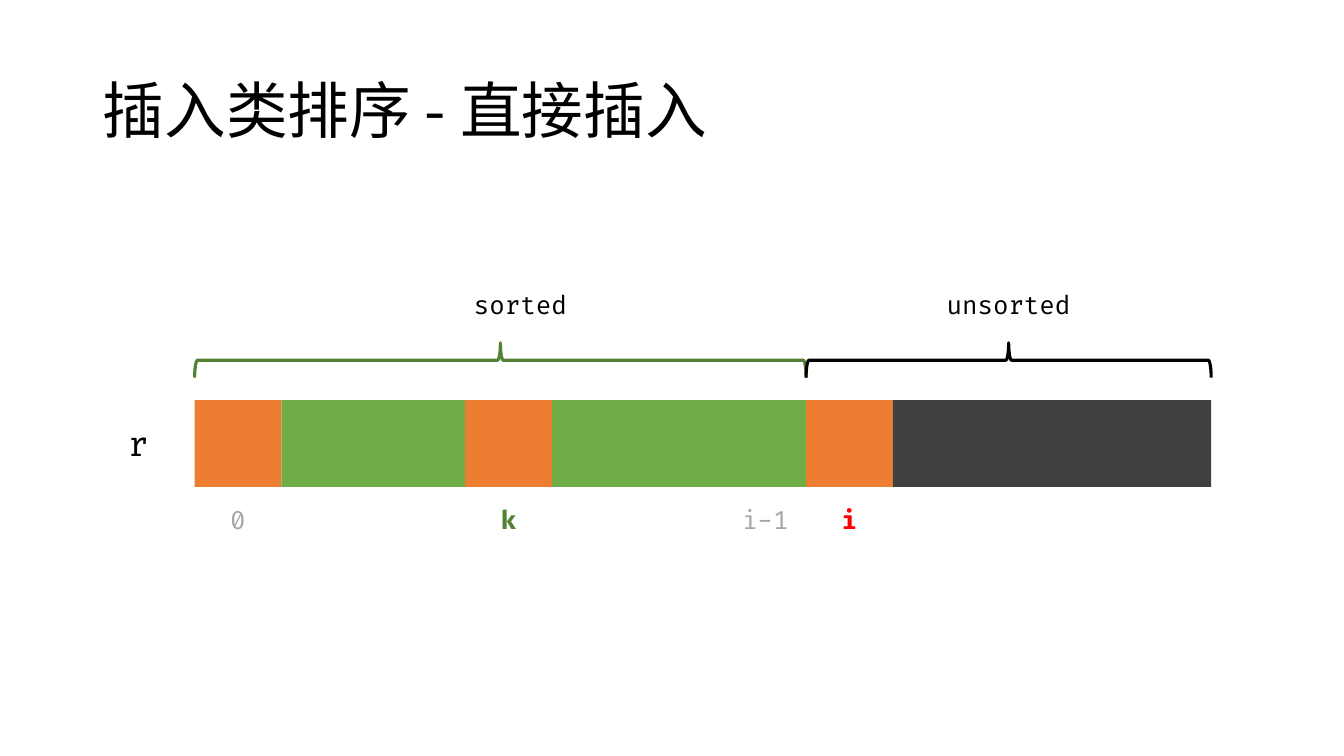
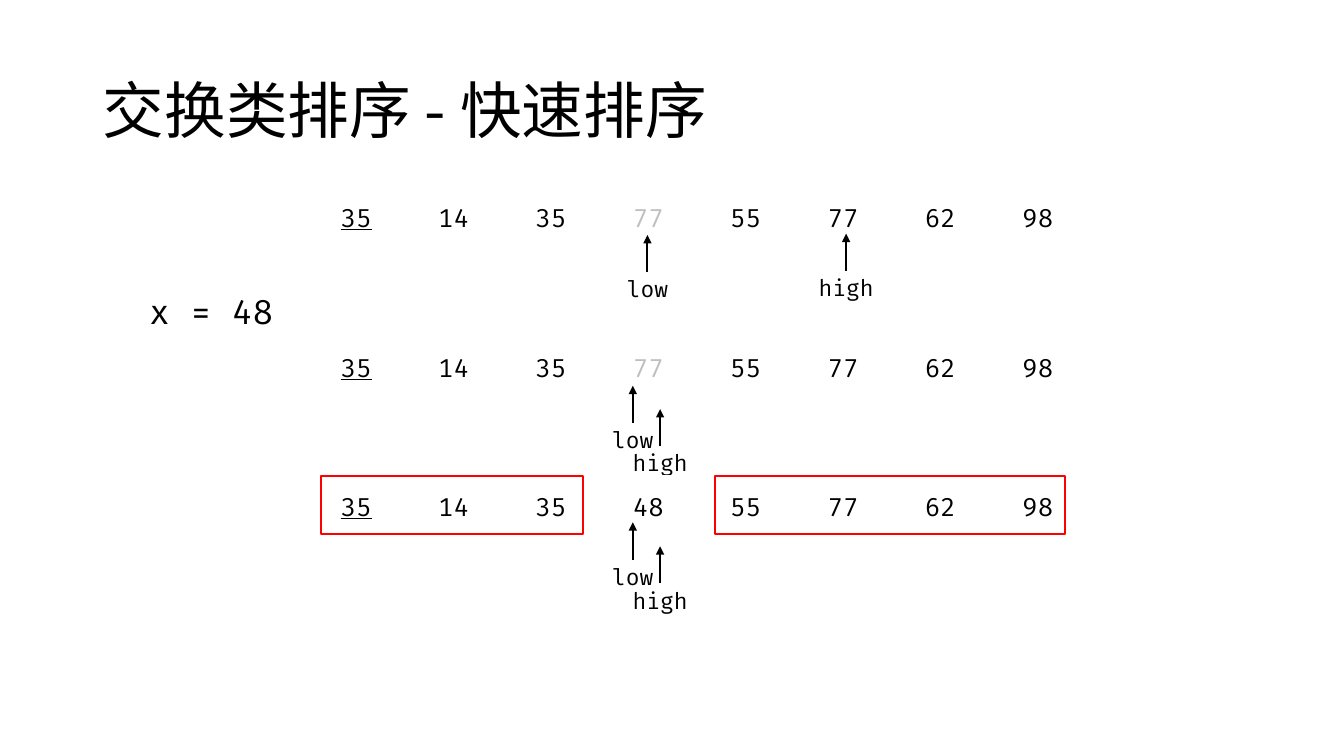
from dataclasses import dataclass
from itertools import accumulate

from lxml.etree import SubElement
from pptx import Presentation
from pptx.dml.color import RGBColor
from pptx.enum.shapes import MSO_CONNECTOR, MSO_SHAPE
from pptx.enum.text import MSO_ANCHOR, PP_ALIGN
from pptx.oxml.ns import qn
from pptx.util import Inches, Pt

WIDTH, HEIGHT = 13.33, 7.5


@dataclass(frozen=True)
class Theme:
    """Colours, fonts and sizes of the whole deck."""
    ink: str = "000000"
    orange: str = "ED7D31"
    green: str = "70AD47"
    dark_green: str = "548235"
    charcoal: str = "404040"
    index_grey: str = "A6A6A6"
    vacant_grey: str = "BFBFBF"
    red: str = "FF0000"
    title_font: str = "Noto Sans CJK SC"
    code_font: str = "Fira Code"
    title_size: int = 44
    name_size: int = 24
    code_size: int = 18
    pointer_size: int = 16
    brace_line: float = 2.25
    thin_line: float = 1.5


THEME = Theme()


@dataclass(frozen=True)
class Box:
    """A rectangle in inches."""
    left: float
    top: float
    width: float
    height: float

    def lengths(self):
        """Return the four sides as slide lengths."""
        return [Inches(v) for v in (self.left, self.top, self.width, self.height)]


def area(left, top, width, height):
    """Return a box given in percent of the slide."""
    return Box(left * WIDTH / 100, top * HEIGHT / 100,
               width * WIDTH / 100, height * HEIGHT / 100)


def write_text(frame, text, size=THEME.code_size, color=THEME.ink, font=THEME.code_font,
               bold=False, underline=False, align=PP_ALIGN.CENTER, spacing=1.0):
    """Write one formatted paragraph into a text frame."""
    para = frame.paragraphs[0]
    para.alignment, para.line_spacing = align, spacing
    span = para.add_run()
    span.text = text
    span.font.size, span.font.name = Pt(size), font
    span.font.bold, span.font.underline = bold, underline
    span.font.color.rgb = RGBColor.from_string(color)
    SubElement(span.font._element, qn("a:ea"), typeface=font)


def add_label(page, box, text, **style):
    """Place a text box."""
    frame = page.shapes.add_textbox(*box.lengths()).text_frame
    frame.word_wrap = True
    write_text(frame, text, **style)


def add_figure(page, kind, box, fill=None, line=None, weight=THEME.thin_line):
    """Place a preset shape with an optional fill and outline."""
    shape = page.shapes.add_shape(kind, *box.lengths())
    shape.shadow.inherit = False
    if fill:
        shape.fill.solid()
        shape.fill.fore_color.rgb = RGBColor.from_string(fill)
    else:
        shape.fill.background()
    if line:
        shape.line.color.rgb = RGBColor.from_string(line)
        shape.line.width = Pt(weight)
    else:
        shape.line.fill.background()
    return shape


def add_brace(page, box, color):
    """Place a brace that lies over the given box and points up."""
    middle_x, middle_y = box.left + box.width / 2, box.top + box.height / 2
    upright = Box(middle_x - box.height / 2, middle_y - box.width / 2, box.height, box.width)
    brace = add_figure(page, MSO_SHAPE.LEFT_BRACE, upright, line=color, weight=THEME.brace_line)
    brace.rotation = 90


def add_pointer(page, box, text):
    """Place an upward arrow in the upper half of the box and its name below."""
    x, length = box.left + box.width / 2, box.height / 2
    arrow = page.shapes.add_connector(MSO_CONNECTOR.STRAIGHT, Inches(x), Inches(box.top + length),
                                      Inches(x), Inches(box.top))
    arrow.line.color.rgb = RGBColor.from_string(THEME.ink)
    arrow.line.width = Pt(THEME.thin_line)
    SubElement(arrow.line._get_or_add_ln(), qn("a:tailEnd"), type="triangle")
    SubElement(arrow._element.spPr, qn("a:effectLst"))
    add_label(page, Box(box.left, box.top + length * 0.95, box.width, length), text,
              size=THEME.pointer_size)


def add_page(deck, title):
    """Add a title-only slide and format its title."""
    page = deck.slides.add_slide(deck.slide_layouts[5])
    holder = page.shapes.title
    holder.left, holder.top, holder.width, holder.height = area(6.9, 5.33, 86.27, 19.33).lengths()
    frame = holder.text_frame
    frame.word_wrap, frame.vertical_anchor = True, MSO_ANCHOR.MIDDLE
    write_text(frame, title, size=THEME.title_size, font=THEME.title_font,
               align=PP_ALIGN.LEFT, spacing=0.9)
    return page


def add_array_strip(page, box):
    """Draw array r as segments, with braces above and indexes below."""
    side = box.height
    colors = (THEME.orange, THEME.green, THEME.orange, THEME.green, THEME.orange, THEME.charcoal)
    widths = (1, 2.12, 1, 2.93, 1, 3.67)
    edges = [box.left + side * edge for edge in accumulate(widths, initial=0)]
    for color, left, right in zip(colors, edges, edges[1:]):
        add_figure(page, MSO_SHAPE.RECTANGLE, Box(left, box.top, right - left, side), fill=color)

    def centred(middle, top, width, height, text, **style):
        """Place a label around a centre line, in cell sides from the strip."""
        add_label(page, Box(middle - width * side / 2, box.top + top * side,
                            width * side, height * side), text, **style)

    for name, first, last, color, shift in (("sorted", 0, 4, THEME.dark_green, 0.2),
                                            ("unsorted", 4, 6, THEME.ink, 0)):
        left, right = edges[first], edges[last]
        add_brace(page, Box(left, box.top - 0.66 * side, right - left, 0.4 * side), color)
        centred((left + right) / 2 + shift, -1.34, 2, 0.47, name)

    half = side / 2
    for name, middle, color, bold in (
            ("0", edges[0] + half, THEME.index_grey, False),
            ("k", edges[2] + half, THEME.dark_green, True),
            ("i-1", edges[4] - 0.47 * side, THEME.index_grey, False),
            ("i", edges[4] + half, THEME.red, True)):
        centred(middle, 1.14, 0.92, 0.47, name, color=color, bold=bold)
    centred(box.left - 0.65 * side, 0.21, 0.6, 0.58, "r", size=THEME.name_size)


def add_number_row(page, box, numbers, pointers, vacant=None, frames=()):
    """Draw a row of numbers; pointers and frames are in columns and rows."""
    column, row = box.width / len(numbers), box.height
    table = page.shapes.add_table(1, len(numbers), *box.lengths()).table
    table.first_row = table.horz_banding = False
    for index, number in enumerate(numbers):
        cell = table.cell(0, index)
        cell.fill.background()
        cell.vertical_anchor = MSO_ANCHOR.MIDDLE
        cell.margin_left = cell.margin_right = Inches(0.08)
        cell.margin_top = cell.margin_bottom = Inches(0.04)
        write_text(cell.text_frame, str(number), underline=index == 0,
                   color=THEME.vacant_grey if index == vacant else THEME.ink)
    for name, across, down in pointers:
        add_pointer(page, Box(box.left + (across - 0.65) * column, box.top + down * row,
                              1.3 * column, 1.12 * row), name)
    for start, span in frames:
        add_figure(page, MSO_SHAPE.RECTANGLE,
                   Box(box.left + start * column, box.top, span * column, 0.88 * row),
                   line=THEME.red)


def build_insertion(deck):
    """Build the straight insertion slide."""
    page = add_page(deck, "插入类排序 - 直接插入")
    add_array_strip(page, area(14.48, 52.93, 75.6, 11.47))


def build_quicksort(deck):
    """Build the quicksort slide with its three steps."""
    page = add_page(deck, "交换类排序 - 快速排序")
    add_label(page, area(9.68, 37.87, 12.08, 6.67), "x = 48", size=THEME.name_size)
    steps = (
        (24.67, 77, [("low", 3.49, 0.73), ("high", 5.53, 0.71)], 3, ()),
        (44.53, 77, [("low", 3.34, 0.74), ("high", 3.62, 1.09)], 3, ()),
        (62.93, 48, [("low", 3.34, 0.7), ("high", 3.62, 1.06)], None,
         ((0.14, 2.69), (4.18, 3.6))),
    )
    for top, pivot, pointers, vacant, frames in steps:
        add_number_row(page, area(22.88, top, 57.98, 8.8),
                       (35, 14, 35, pivot, 55, 77, 62, 98), pointers, vacant, frames)


def main():
    """Build and save the deck."""
    deck = Presentation()
    deck.slide_width, deck.slide_height = Inches(WIDTH), Inches(HEIGHT)
    build_insertion(deck)
    build_quicksort(deck)
    deck.save("out.pptx")


main()
